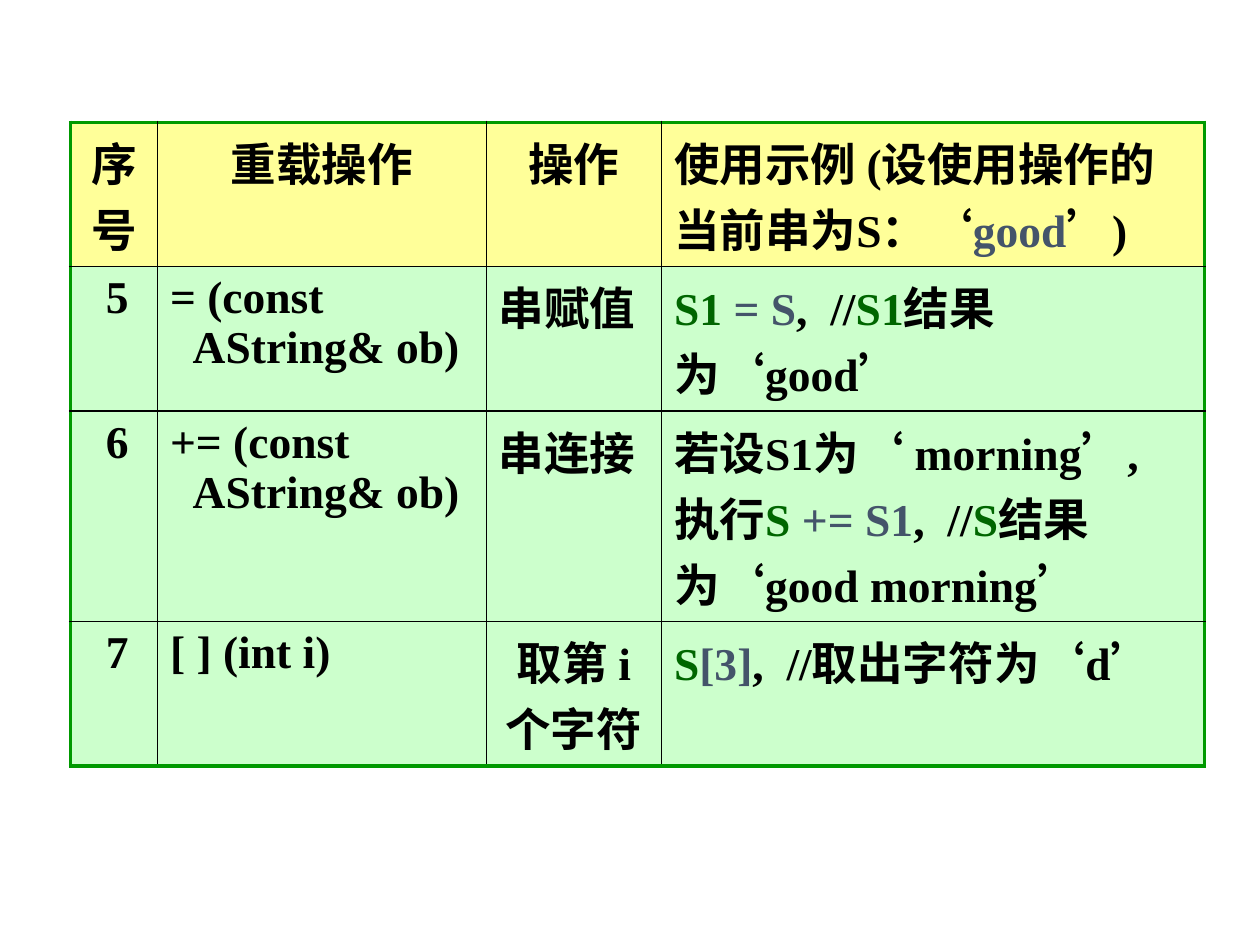
from dataclasses import dataclass

from lxml import etree
from pptx import Presentation
from pptx import util as u
from pptx.dml.color import RGBColor
from pptx.enum import text
from pptx.oxml import ns


@dataclass(frozen=True)
class Theme:
    font: str = "Times New Roman"
    size: int = 26
    ink: str = "000000"
    green: str = "006600"
    slate: str = "44546A"
    head_fill: str = "FFFF99"
    body_fill: str = "CCFFCC"
    frame: tuple = ("009900", 2.25)
    rule: tuple = ("000000", 1)
    number_indent: float = 0.18


class SlideBuilder:
    """Holds the theme and the current slide."""

    def __init__(self, deck, theme):
        self.deck, self.theme = deck, theme
        self.page = deck.slides.add_slide(deck.slide_layouts[6])

    def table(self, left, top, columns, rows, content):
        """Place a table by shares of the slide; columns and rows are shares too."""
        wide, high = self.deck.slide_width, self.deck.slide_height
        frame = self.page.shapes.add_table(
            len(rows), len(columns), int(left * wide), int(top * high),
            int(sum(columns) * wide), int(sum(rows) * high))
        grid = frame.table
        for column, share in zip(grid.columns, columns):
            column.width = int(share * wide)
        for row, share in zip(grid.rows, rows):
            row.height = int(share * high)
        for r, line in enumerate(content):
            for c, paragraphs in enumerate(line):
                cell = grid.cell(r, c)
                edges = {"L": c == 0, "R": c == len(columns) - 1,
                         "T": r == 0, "B": r == len(rows) - 1}
                self.borders(cell, edges)
                self.fill(cell, self.theme.body_fill if r else self.theme.head_fill)
                self.paragraphs(cell.text_frame, paragraphs)

    def borders(self, cell, edges):
        """Draw the outer frame and the inner rules of one cell."""
        properties = cell._tc.get_or_add_tcPr()
        for side, outer in edges.items():
            colour, width = self.theme.frame if outer else self.theme.rule
            line = etree.SubElement(properties, ns.qn(f"a:ln{side}"), w=str(u.Pt(width)))
            solid = etree.SubElement(line, ns.qn("a:solidFill"))
            etree.SubElement(solid, ns.qn("a:srgbClr"), val=colour)

    def fill(self, cell, colour):
        cell.fill.solid()
        cell.fill.fore_color.rgb = RGBColor.from_string(colour)

    def paragraphs(self, frame, paragraphs):
        """Each paragraph is (style, span, ...); a span is text or (text, colour)."""
        for index, (style, *spans) in enumerate(paragraphs):
            para = frame.paragraphs[0] if index == 0 else frame.add_paragraph()
            if style == "center":
                para.alignment = text.PP_ALIGN.CENTER
            elif style == "indent":
                para._p.get_or_add_pPr().set("marL", str(u.Inches(self.theme.number_indent)))
            for item in spans:
                words, colour = (item, self.theme.ink) if isinstance(item, str) else item
                span = para.add_run()
                span.text = words
                look = {"name": self.theme.font, "size": u.Pt(self.theme.size), "bold": True}
                for name, value in look.items():
                    setattr(span.font, name, value)
                span.font.color.rgb = RGBColor.from_string(colour)


def centered(*lines):
    return [("center", line) for line in lines]


def left(*spans):
    return [("left", *spans)]


def indented(line):
    return [("indent", line)]


def assignment(operator):
    return left(f"{operator} (const") + indented("AString& ob)")


def main():
    deck = Presentation()
    deck.slide_width, deck.slide_height = u.Inches(10), u.Inches(7.5)
    theme = Theme()
    green, slate = theme.green, theme.slate

    # Operator table: number, overload, operation, example
    content = [
        [centered("序", "号"), centered("重载操作"), centered("操作"),
         left("使用示例 (设使用操作的当前串为S：‘", ("good", slate), "’)")],
        [indented("5"), assignment("="), left("串赋值"),
         left(("S1 ", green), ("= S", slate), ",  //", ("S1", green), "结果为‘good’")],
        [indented("6"), assignment("+="), left("串连接"),
         left("若设S1为‘ morning’, 执行", ("S ", green), ("+= S1", slate), ",  //",
              ("S", green), "结果为‘good morning’")],
        [indented("7"), left("[ ] (int i)"), centered("取第 i", "个字符"),
         left(("S", green), ("[3]", slate), ",  //取出字符为‘d’")],
    ]
    columns = [width / 10 for width in (0.69, 2.61, 1.39, 4.31)]
    rows = [height / 7.5 for height in (0.97, 0.97, 1.4, 0.97)]
    SlideBuilder(deck, theme).table(0.56 / 10, 0.97 / 7.5, columns, rows, content)

    deck.save("out.pptx")


if __name__ == "__main__":
    main()
